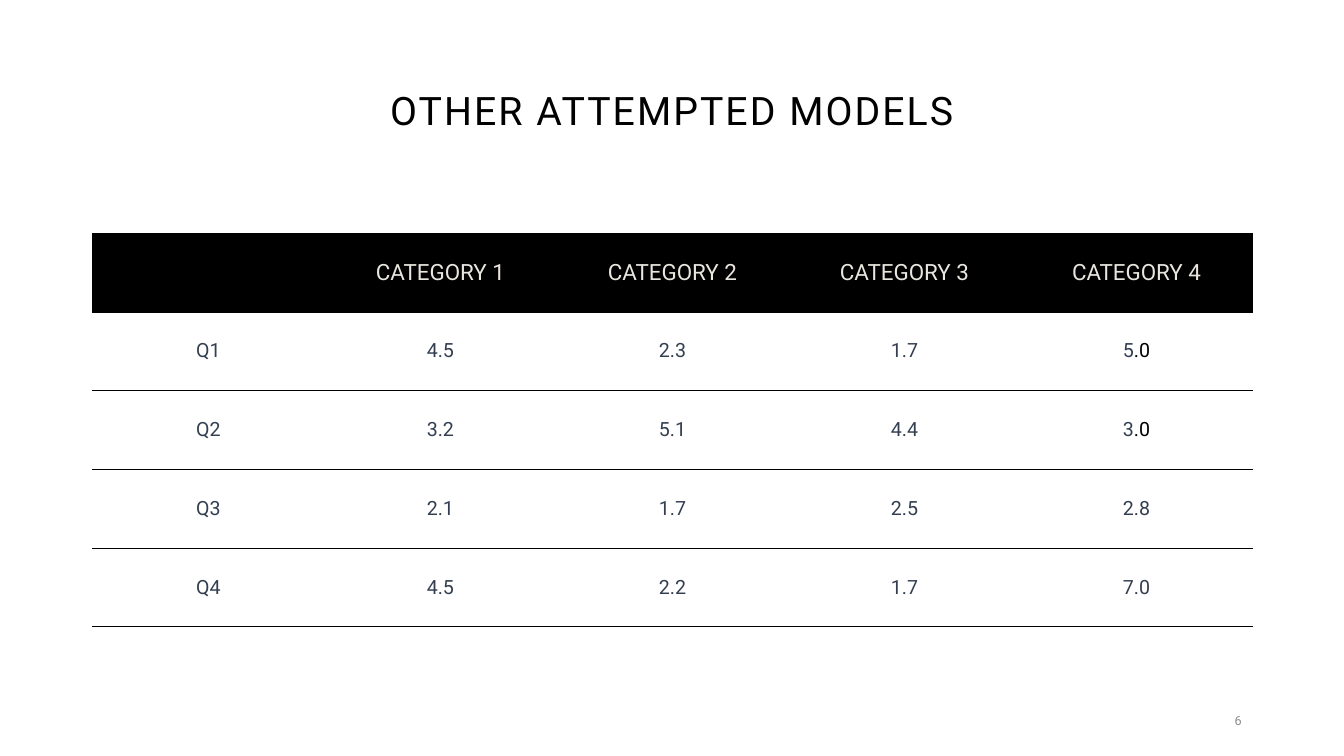
"""Build the slide with the table of other attempted models."""
from dataclasses import dataclass

from lxml import etree
from pptx import Presentation
from pptx.dml.color import RGBColor
from pptx.enum.text import MSO_ANCHOR, PP_ALIGN
from pptx.oxml.ns import qn
from pptx.slide import Slide
from pptx.table import _Cell
from pptx.text.text import TextFrame, _Paragraph
from pptx.util import Emu, Pt

MIDDLE = MSO_ANCHOR.MIDDLE
CENTER = PP_ALIGN.CENTER
RIGHT = PP_ALIGN.RIGHT
EMU_PER_PX = 9525


@dataclass(frozen=True)
class Theme:
    font: str = "Roboto"
    black: str = "000000"
    white: str = "FFFFFF"
    cream: str = "E9E6DF"
    slate: str = "333F50"
    gray: str = "8C8C8C"
    title_size: int = 28
    header_size: int = 16
    body_size: int = 14
    number_size: int = 9
    border_width: float = 0.5


@dataclass(frozen=True)
class Box:
    left: int
    top: int
    width: int
    height: int

    def emu(self) -> tuple[Emu, Emu, Emu, Emu]:
        return px(self.left), px(self.top), px(self.width), px(self.height)


@dataclass(frozen=True)
class TextRun:
    text: str
    size: int
    color: str
    spacing: int = 0


@dataclass(frozen=True)
class Quarter:
    name: str
    figures: tuple[str, ...]
    black_ending: str = ""


THEME = Theme()
SLIDE_WIDTH, SLIDE_HEIGHT = 1280, 720
TITLE_BOX = Box(88, 38, 1104, 139)
TABLE_BOX = Box(88, 222, 1105, 375)
NUMBER_BOX = Box(904, 667, 288, 38)
HEADINGS = ("", "CATEGORY 1", "CATEGORY 2", "CATEGORY 3", "CATEGORY 4")
QUARTERS = (
    Quarter("Q1", ("4.5", "2.3", "1.7", "5"), ".0"),
    Quarter("Q2", ("3.2", "5.1", "4.4", "3"), ".0"),
    Quarter("Q3", ("2.1", "1.7", "2.5", "2.8")),
    Quarter("Q4", ("4.5", "2.2", "1.7", "7.0")),
)


def px(length: int) -> Emu:
    return Emu(length * EMU_PER_PX)


def add_run(paragraph: _Paragraph, text_run: TextRun) -> None:
    run = paragraph.add_run()
    run.text = text_run.text
    run.font.name = THEME.font
    run.font.size = Pt(text_run.size)
    run.font.color.rgb = RGBColor.from_string(text_run.color)
    if text_run.spacing:
        run.font._element.set("spc", str(text_run.spacing))


def add_text(slide: Slide, box: Box, text_run: TextRun, alignment: PP_ALIGN) -> TextFrame:
    text_frame = slide.shapes.add_textbox(*box.emu()).text_frame
    text_frame.word_wrap = True
    text_frame.vertical_anchor = MIDDLE
    paragraph = text_frame.paragraphs[0]
    paragraph.alignment = alignment
    add_run(paragraph, text_run)
    return text_frame


def set_borders(cell: _Cell) -> None:
    properties = cell._tc.get_or_add_tcPr()
    for side in ("lnL", "lnR", "lnT", "lnB"):
        line = etree.SubElement(properties, qn(f"a:{side}"), w=str(Pt(THEME.border_width)))
        if side in ("lnL", "lnR"):
            etree.SubElement(line, qn("a:noFill"))
        else:
            fill = etree.SubElement(line, qn("a:solidFill"))
            etree.SubElement(fill, qn("a:srgbClr"), val=THEME.black)


def fill_cell(cell: _Cell, text_runs: list[TextRun], is_header: bool) -> None:
    set_borders(cell)
    if is_header:
        cell.fill.solid()
        cell.fill.fore_color.rgb = RGBColor.from_string(THEME.black)
    else:
        cell.fill.background()
    cell.vertical_anchor = MIDDLE
    paragraph = cell.text_frame.paragraphs[0]
    paragraph.alignment = CENTER
    for text_run in text_runs:
        if text_run.text:
            add_run(paragraph, text_run)


def quarter_runs(quarter: Quarter) -> list[list[TextRun]]:
    cells = [
        [TextRun(text, THEME.body_size, THEME.slate)]
        for text in (quarter.name, *quarter.figures)
    ]
    cells[-1].append(TextRun(quarter.black_ending, THEME.body_size, THEME.black))
    return cells


def add_model_table(slide: Slide) -> None:
    header = [[TextRun(text, THEME.header_size, THEME.cream)] for text in HEADINGS]
    rows = [header, *map(quarter_runs, QUARTERS)]
    table = slide.shapes.add_table(len(rows), len(HEADINGS), *TABLE_BOX.emu()).table
    table.first_row = False
    table.horz_banding = False
    for row_index, row in enumerate(rows):
        for column_index, text_runs in enumerate(row):
            fill_cell(table.cell(row_index, column_index), text_runs, row_index == 0)


def main() -> None:
    presentation = Presentation()
    presentation.slide_width = px(SLIDE_WIDTH)
    presentation.slide_height = px(SLIDE_HEIGHT)
    slide = presentation.slides.add_slide(presentation.slide_layouts[6])
    slide.background.fill.solid()
    slide.background.fill.fore_color.rgb = RGBColor.from_string(THEME.white)
    title_run = TextRun("OTHER ATTEMPTED MODELS", THEME.title_size, THEME.black, 150)
    title = add_text(slide, TITLE_BOX, title_run, CENTER)
    title.paragraphs[0].line_spacing = 0.9
    add_model_table(slide)
    add_text(slide, NUMBER_BOX, TextRun("6", THEME.number_size, THEME.gray), RIGHT)
    presentation.save("out.pptx")


if __name__ == "__main__":
    main()
